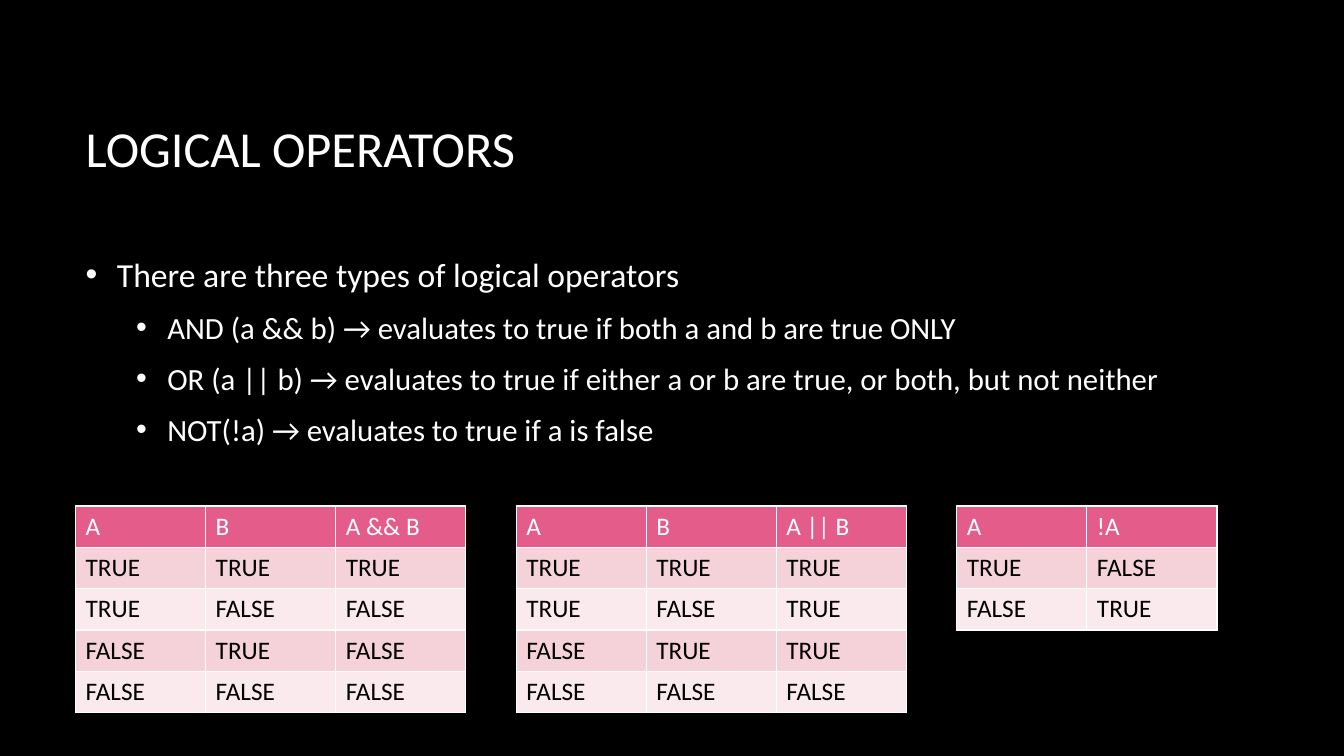
from dataclasses import dataclass

from lxml import etree
from pptx import Presentation
from pptx.dml.color import RGBColor
from pptx.enum.text import MSO_ANCHOR, MSO_AUTO_SIZE, PP_ALIGN
from pptx.oxml.ns import qn
from pptx.util import Inches, Pt

LEFT, MIDDLE, NO_AUTOFIT = PP_ALIGN.LEFT, MSO_ANCHOR.MIDDLE, MSO_AUTO_SIZE.NONE

# Content
TITLE = "LOGICAL OPERATORS"
POINTS = [  # (level, text)
    (0, "There are three types of logical operators"),
    (1, "AND (a && b) → evaluates to true if both a and b are true ONLY"),
    (1, "OR (a || b) → evaluates to true if either a or b are true, or both, but not neither"),
    (1, "NOT(!a) → evaluates to true if a is false"),
]
T, F = "TRUE", "FALSE"
TRUTH_TABLES = [
    [("A", "B", "A && B"), (T, T, T), (T, F, F), (F, T, F), (F, F, F)],
    [("A", "B", "A || B"), (T, T, T), (T, F, T), (F, T, T), (F, F, F)],
    [("A", "!A"), (T, F), (F, T)],
]


@dataclass(frozen=True)
class Theme:
    font: str = "Calibri"
    background: str = "000000"
    light_text: str = "FFFFFF"
    dark_text: str = "000000"
    header_fill: str = "E45C8A"
    row_fills: tuple = ("FAEAED", "F5D2DA")  # even rows, odd rows
    title_size: int = 36
    point_sizes: tuple = (24, 22)  # by level
    table_size: int = 18


THEME = Theme()

# Layout, in inches
MARGIN, CONTENT_W = 0.75, 11.08
TITLE_TOP, TITLE_H = 0.67, 1.59
POINTS_TOP, POINTS_H = 2.34, 2.28
HANGING, LEVEL_STEP = 0.31, 0.5
TABLES_TOP, TABLE_GAP = 5.02, 0.5
COLUMN_W, ROW_H = 1.29, 0.41


def style(paragraph, size, color):
    paragraph.alignment = LEFT
    font = paragraph.font
    font.name, font.size, font.bold = THEME.font, Pt(size), False
    font.color.rgb = RGBColor.from_string(color)


def place(placeholder, top, height):
    placeholder.left, placeholder.top = Inches(MARGIN), Inches(top)
    placeholder.width, placeholder.height = Inches(CONTENT_W), Inches(height)
    frame = placeholder.text_frame
    frame.word_wrap, frame.auto_size = True, NO_AUTOFIT
    frame.vertical_anchor = MIDDLE
    return frame


def add_bullet(paragraph, level):
    properties = paragraph._p.get_or_add_pPr()
    properties.set("marL", str(Inches(HANGING + level * LEVEL_STEP)))
    properties.set("indent", str(-Inches(HANGING)))
    bullet_color = etree.Element(qn("a:buClr"))
    etree.SubElement(bullet_color, qn("a:srgbClr"), val=THEME.light_text)
    bullet_font = etree.Element(qn("a:buFont"), typeface="Arial")
    bullet_char = etree.Element(qn("a:buChar"), char="•")
    # Bullet elements come before the default run properties
    defaults = properties.find(qn("a:defRPr"))
    for element in (bullet_color, bullet_font, bullet_char):
        defaults.addprevious(element)


def add_truth_table(slide, rows, left):
    columns = len(rows[0])
    table = slide.shapes.add_table(
        len(rows), columns, Inches(left), Inches(TABLES_TOP),
        Inches(columns * COLUMN_W), Inches(len(rows) * ROW_H)).table
    for r, values in enumerate(rows):
        fill = THEME.row_fills[r % 2] if r else THEME.header_fill
        color = THEME.dark_text if r else THEME.light_text
        for c, value in enumerate(values):
            cell = table.cell(r, c)
            cell.text = value
            cell.fill.solid()
            cell.fill.fore_color.rgb = RGBColor.from_string(fill)
            style(cell.text_frame.paragraphs[0], THEME.table_size, color)
    return columns * COLUMN_W


def main():
    deck = Presentation()
    deck.slide_width, deck.slide_height = Inches(13.33), Inches(7.5)
    slide = deck.slides.add_slide(deck.slide_layouts[1])
    slide.background.fill.solid()
    slide.background.fill.fore_color.rgb = RGBColor.from_string(THEME.background)

    # Title
    heading = place(slide.shapes.title, TITLE_TOP, TITLE_H)
    heading.text = TITLE
    style(heading.paragraphs[0], THEME.title_size, THEME.light_text)

    # Bulleted points
    points = place(slide.placeholders[1], POINTS_TOP, POINTS_H)
    points.text = "\n".join(text for _, text in POINTS)
    for point, (level, _) in zip(points.paragraphs, POINTS):
        point.level = level
        point.space_before, point.space_after = Pt(0), Pt(10)
        style(point, THEME.point_sizes[level], THEME.light_text)
        add_bullet(point, level)

    # Truth tables, left to right
    left = MARGIN
    for rows in TRUTH_TABLES:
        left += add_truth_table(slide, rows, left) + TABLE_GAP

    deck.save("out.pptx")


if __name__ == "__main__":
    main()
